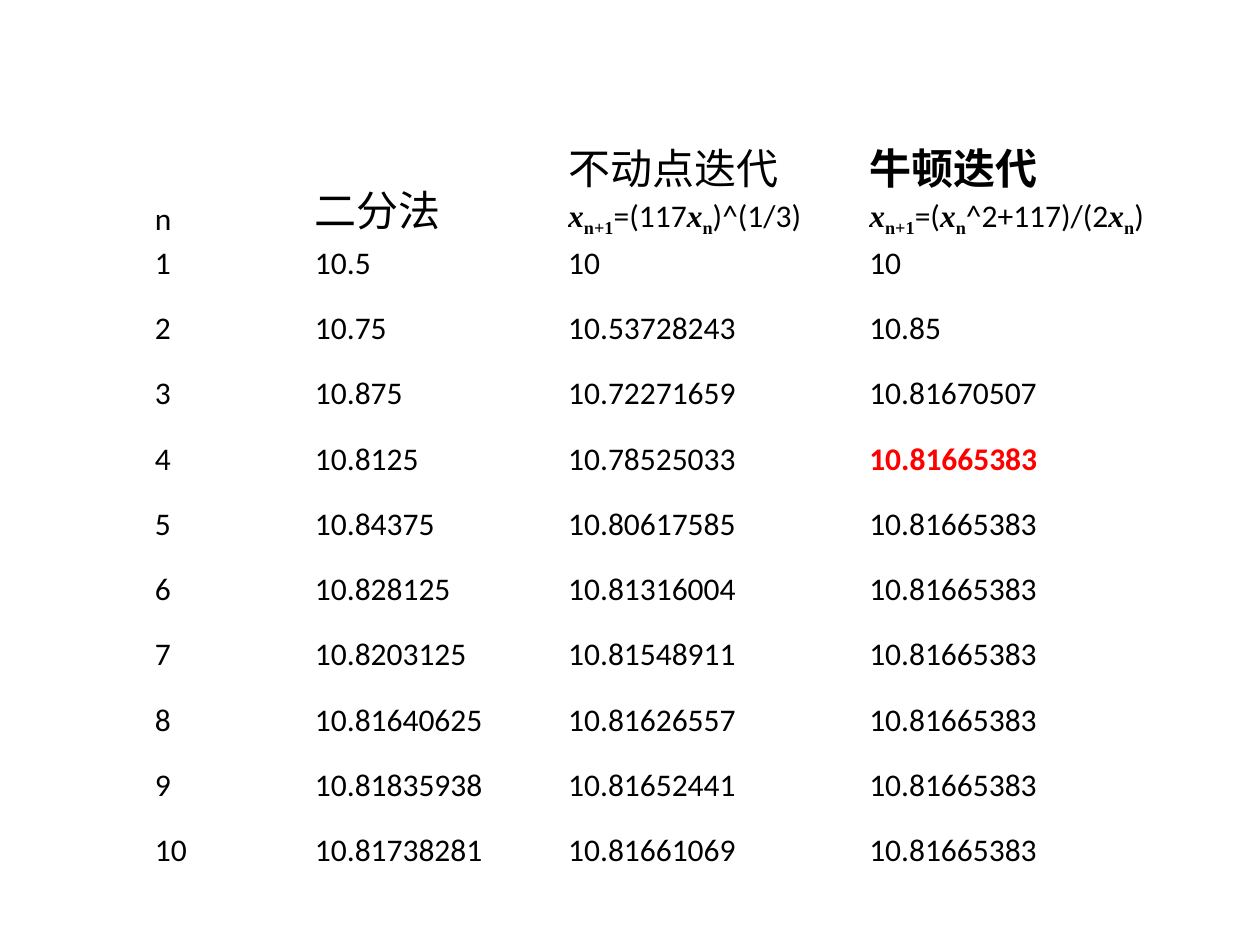
from pptx import Presentation
from pptx import util as u
from pptx.dml import color
from pptx.enum import text

HEADERS = ["n", "二分法", "不动点迭代", "牛顿迭代"]
X = [("x", "variable")]
X_N = X + [("n", "subscript")]
X_NEXT = X + [("n+1", "subscript")]
FIXED_POINT = X_NEXT + [("=(117", "plain")] + X_N + [(")^(1/3)", "plain")]
NEWTON = (X_NEXT + [("=(", "plain")] + X_N + [("^2+117)/(2", "plain")]
          + X_N + [(")", "plain")])
FORMULAS = {2: FIXED_POINT, 3: NEWTON}
BISECTION_VALUES = ["10.5", "10.75", "10.875", "10.8125", "10.84375", "10.828125",
                    "10.8203125", "10.81640625", "10.81835938", "10.81738281"]
FIXED_POINT_VALUES = ["10", "10.53728243", "10.72271659", "10.78525033", "10.80617585",
                      "10.81316004", "10.81548911", "10.81626557", "10.81652441",
                      "10.81661069"]
NEWTON_VALUES = ["10", "10.85", "10.81670507"] + ["10.81665383"] * 7
CONVERGED = (4, 3)
COLUMN_WIDTHS = [1.27, 2.01, 2.39, 2.36]
HEADER_HEIGHT, FIRST_HEIGHT = 0.78, 0.35


def rgb(value):
    return color.RGBColor.from_string(value)


def format_font(font, size=18, bold=False, fill="000000", name="Calibri"):
    font.name, font.size, font.bold = name, u.Pt(size), bold
    font.color.rgb = rgb(fill)


def add_formula(frame, pieces):
    paragraph = frame.add_paragraph()
    for content, style in pieces:
        run = paragraph.add_run()
        run.text = content
        plain = style == "plain"
        format_font(run.font, bold=not plain,
                    name="Calibri" if plain else "Times New Roman")
        run.font.italic = style == "variable"
        if style == "subscript":
            run._r.get_or_add_rPr().set("baseline", "-25000")


def prepare_cell(cell):
    cell.fill.background()
    cell.vertical_anchor = text.MSO_ANCHOR.BOTTOM
    cell.margin_left = cell.margin_right = cell.margin_top = u.Inches(0.01)
    cell.margin_bottom = 0


def add_iteration_table(slide, left, top, width, height):
    steps = [str(n) for n in range(1, len(NEWTON_VALUES) + 1)]
    rows = [HEADERS, *zip(steps, BISECTION_VALUES, FIXED_POINT_VALUES, NEWTON_VALUES)]
    table = slide.shapes.add_table(
        len(rows), len(HEADERS), u.Inches(left), u.Inches(top),
        u.Inches(width), u.Inches(height)).table
    table.first_row = table.horz_banding = False

    for column, column_width in zip(table.columns, COLUMN_WIDTHS):
        column.width = u.Inches(column_width)
    other_height = (height - HEADER_HEIGHT - FIRST_HEIGHT) / (len(rows) - 2)
    row_heights = [HEADER_HEIGHT, FIRST_HEIGHT] + [other_height] * (len(rows) - 2)

    for r, values in enumerate(rows):
        table.rows[r].height = u.Inches(row_heights[r])
        for c, value in enumerate(values):
            cell = table.cell(r, c)
            prepare_cell(cell)
            cell.text = value
            converged = (r, c) == CONVERGED
            format_font(cell.text_frame.paragraphs[0].font,
                        size=24 if r == 0 and c > 0 else 18,
                        bold=converged or (r, c) == (0, 3),
                        fill="FF0000" if converged else "000000")
            if r == 0 and c in FORMULAS:
                add_formula(cell.text_frame, FORMULAS[c])


def main():
    presentation = Presentation()
    presentation.slide_width = u.Inches(10)
    presentation.slide_height = u.Inches(7.5)
    slide = presentation.slides.add_slide(presentation.slide_layouts[6])
    add_iteration_table(slide, 1.22, 1.07, 8.03, 5.79)
    presentation.save("out.pptx")


if __name__ == "__main__":
    main()
